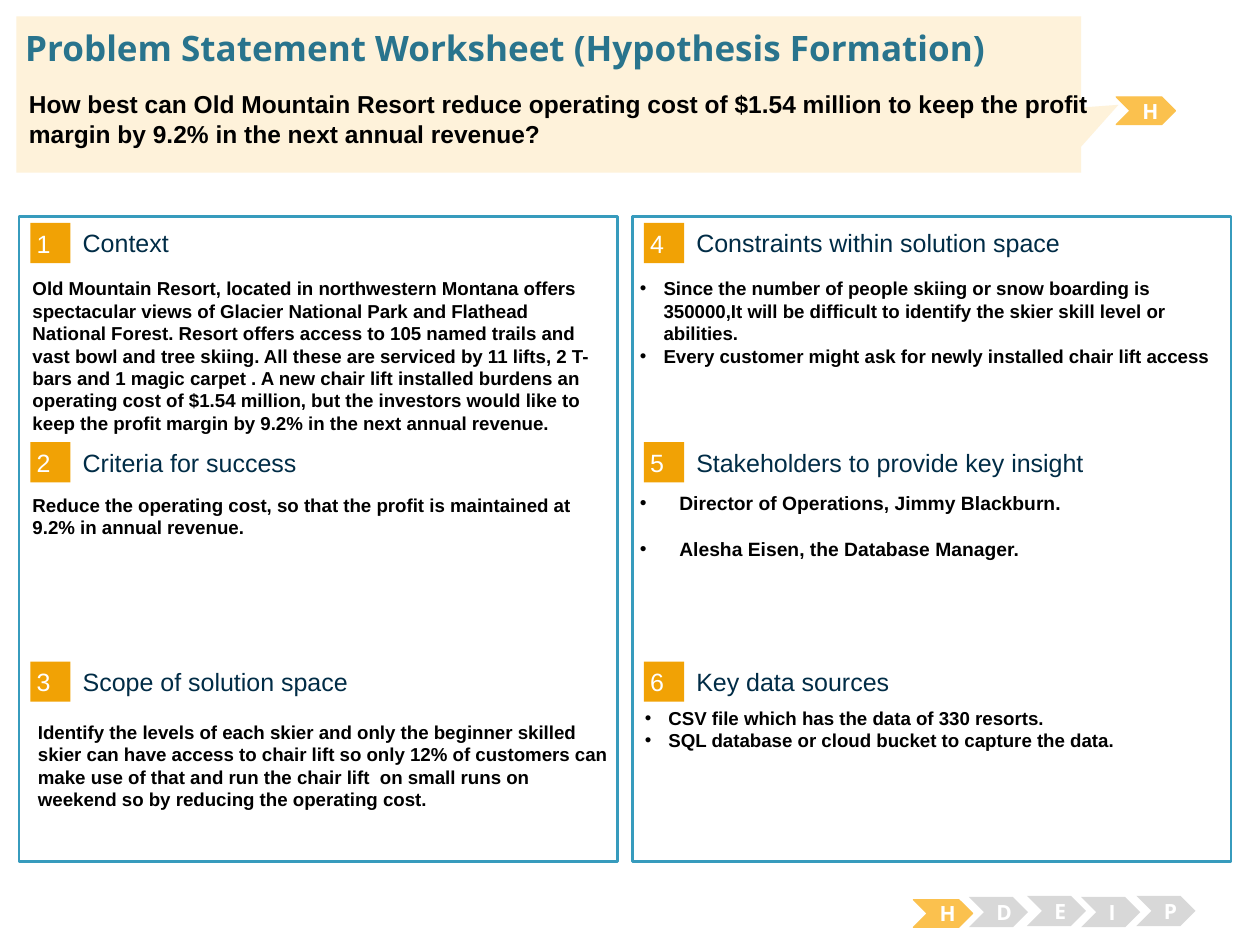
from dataclasses import dataclass

from lxml import etree
from pptx import Presentation
from pptx.dml.color import RGBColor
from pptx.enum.shapes import MSO_SHAPE
from pptx.enum.text import MSO_ANCHOR, PP_ALIGN
from pptx.oxml.ns import qn
from pptx.util import Pt

RECT = MSO_SHAPE.RECTANGLE
CHEVRON = MSO_SHAPE.CHEVRON
CALLOUT = MSO_SHAPE.RECTANGULAR_CALLOUT
TOP, MIDDLE = MSO_ANCHOR.TOP, MSO_ANCHOR.MIDDLE
LEFT, CENTER = PP_ALIGN.LEFT, PP_ALIGN.CENTER

WHITE = RGBColor(0xFF, 0xFF, 0xFF)
BLACK = RGBColor(0, 0, 0)
BLUE = RGBColor(0x37, 0x9B, 0xBD)
TEAL = RGBColor(0x29, 0x74, 0x8D)
NAVY = RGBColor(0x00, 0x2C, 0x46)
ORANGE = RGBColor(0xF1, 0xA2, 0x05)
AMBER = RGBColor(0xFB, 0xC1, 0x4E)
CREAM = RGBColor(0xFE, 0xF2, 0xDA)
GRAY = RGBColor(0xD8, 0xD8, 0xD8)


@dataclass
class Box:
    """Place and size in points."""
    x: float
    y: float
    w: float
    h: float

    def pts(self) -> list:
        """Return the four lengths for python-pptx."""
        return [Pt(v) for v in (self.x, self.y, self.w, self.h)]


@dataclass
class Style:
    """Look of a block of text."""
    size: float
    color: RGBColor
    bold: bool = True
    name: str = "Arial"
    align: PP_ALIGN = LEFT
    anchor: MSO_ANCHOR = TOP
    pad: tuple = (7.2, 3.6)
    indent: float = 0
    gap: float = 0


@dataclass
class Topic:
    """A numbered section with its body text."""
    head: str
    box: Box
    style: Style
    lines: list


@dataclass
class Step:
    """A chevron of the progress trail."""
    mark: str
    x: float
    y: float
    h: float = 17.3
    color: RGBColor = GRAY


BADGE = Style(14.3, WHITE, bold=False, anchor=MIDDLE, pad=(3.6, 3.6))
HEAD = Style(14.3, NAVY, bold=False, anchor=MIDDLE, pad=(0, 0))
BODY = Style(10.7, BLACK)
LIST = Style(10.7, BLACK, indent=13.5)
PEOPLE = Style(11, BLACK, indent=22.5, gap=13)
LEAD = Style(14, BLACK)
MARK = Style(12, WHITE, name="Open Sans", align=CENTER, anchor=MIDDLE)
TITLE = Style(20, TEAL, name="Open Sans", anchor=MIDDLE, pad=(0, 0))

COLUMNS = [10.8, 361.4]
PANEL_TOP, PANEL_W, PANEL_H = 123.8, 342, 368.6
ROW_TOP, ROW_STEP = 127.4, 125.3
BODY_W = 340.6

TOPICS = [
    Topic("Context", Box(11.5, 154.8, BODY_W, 98), BODY, [
        "Old Mountain Resort, located in northwestern Montana offers "
        "spectacular views of Glacier National Park and Flathead National "
        "Forest. Resort offers access to 105 named trails and vast bowl and "
        "tree skiing. All these are serviced by 11 lifts, 2 T-bars and 1 "
        "magic carpet . A new chair lift installed burdens an operating cost "
        "of $1.54 million, but the investors would like to keep the profit "
        "margin by 9.2% in the next annual revenue."]),
    Topic("Criteria for success", Box(11.5, 278.6, BODY_W, 110.9), BODY, [
        "Reduce the operating cost, so that the profit is maintained at 9.2% "
        "in annual revenue."]),
    Topic("Scope of solution space", Box(14.6, 408.2, BODY_W, 59), BODY, [
        "Identify the levels of each skier and only the beginner skilled "
        "skier can have access to chair lift so only 12% of customers can "
        "make use of that and run the chair lift  on small runs on weekend "
        "so by reducing the operating cost."]),
    Topic("Constraints within solution space",
          Box(358.6, 154.8, BODY_W, 85), LIST, [
              "Since the number of people skiing or snow boarding is "
              "350000,It will be difficult to identify the skier skill level "
              "or abilities.",
              "Every customer might ask for newly installed chair lift access"]),
    Topic("Stakeholders to provide key insight",
          Box(358.6, 277.2, BODY_W, 85), PEOPLE, [
              "Director of Operations, Jimmy Blackburn.",
              "Alesha Eisen, the Database Manager."]),
    Topic("Key data sources", Box(361.4, 400.3, BODY_W, 85), LIST, [
        "CSV file which has the data of 330 resorts.",
        "SQL database or cloud bucket to capture the data."]),
]

STEPS = [
    Step("H", 522, 514.1, 15.8, AMBER),
    Step("D", 553.7, 512.6),
    Step("E", 586.8, 511.9),
    Step("I", 617.8, 512.6),
    Step("P", 649.4, 511.9),
    Step("H", 637.9, 55.4, 15.8, AMBER),
]


def bullet(para, indent: float) -> None:
    """Give a paragraph a round bullet and a hanging indent."""
    props = para._p.get_or_add_pPr()
    props.set("marL", str(Pt(indent)))
    props.set("indent", str(-Pt(indent)))
    etree.SubElement(props, qn("a:buFont")).set("typeface", "Arial")
    etree.SubElement(props, qn("a:buChar")).set("char", "•")


def write(shape, lines: list, style: Style) -> None:
    """Fill a shape with styled paragraphs."""
    frame = shape.text_frame
    across, down = (Pt(v) for v in style.pad)
    look = {"word_wrap": True, "vertical_anchor": style.anchor,
            "margin_left": across, "margin_right": across,
            "margin_top": down, "margin_bottom": down}
    for key, value in look.items():
        setattr(frame, key, value)
    frame.text = "\n".join(lines)
    face = {"size": Pt(style.size), "bold": style.bold, "name": style.name}
    for place, para in enumerate(frame.paragraphs):
        para.alignment = style.align
        if place and style.gap:
            para.space_before = Pt(style.gap)
        if style.indent:
            bullet(para, style.indent)
        font = para.runs[0].font
        for key, value in face.items():
            setattr(font, key, value)
        font.color.rgb = style.color


def block(slide, kind, box: Box, fill: RGBColor, edge=None, width: float = 0.75):
    """Draw a flat preset shape, with an outline if a colour is given."""
    shape = slide.shapes.add_shape(kind, *box.pts())
    shape.shadow.inherit = False
    shape.fill.solid()
    shape.fill.fore_color.rgb = fill
    if edge is None:
        shape.line.fill.background()
    else:
        shape.line.color.rgb = edge
        shape.line.width = Pt(width)
    return shape


def note(slide, box: Box, lines: list, style: Style) -> None:
    """Add a text box."""
    write(slide.shapes.add_textbox(*box.pts()), lines, style)


def section(slide, index: int, topic: Topic) -> None:
    """Draw the badge, heading and body of a topic."""
    column, row = divmod(index, 3)
    x, y = COLUMNS[column] + 6.5, ROW_TOP + row * ROW_STEP
    badge = block(slide, RECT, Box(x, y, 23, 23), ORANGE)
    write(badge, [str(index + 1)], BADGE)
    note(slide, Box(x + 30, y + 2.3, 283, 18), [topic.head], HEAD)
    note(slide, topic.box, topic.lines, topic.style)


def trail(slide, step: Step) -> None:
    """Draw a chevron with its letter."""
    edge = AMBER if step.color == AMBER else None
    shape = block(slide, CHEVRON, Box(step.x, step.y, 33.8, step.h),
                  step.color, edge)
    write(shape, [step.mark], MARK)


def banner(slide) -> None:
    """Draw the callout with the title and the lead question."""
    shape = block(slide, CALLOUT, Box(9.4, 9.4, 608.4, 89.3), CREAM)
    shape.adjustments[0], shape.adjustments[1] = 0.535, 0.066
    title = slide.shapes.title
    place = zip(("left", "top", "width", "height"),
                Box(14.4, 15.1, 692.6, 24.5).pts())
    for key, value in place:
        setattr(title, key, value)
    write(title, ["Problem Statement Worksheet (Hypothesis Formation)"], TITLE)
    title.element.getparent().append(title.element)
    note(slide, Box(9.4, 47.5, 676, 38.9), [
        "How best can Old Mountain Resort reduce operating cost of $1.54 "
        "million to keep the profit",
        "margin by 9.2% in the next annual revenue?"], LEAD)


def main() -> None:
    """Build and save the deck."""
    deck = Presentation()
    deck.slide_width, deck.slide_height = Pt(720), Pt(540)
    slide = deck.slides.add_slide(deck.slide_layouts[5])
    for x in COLUMNS:
        block(slide, RECT, Box(x, PANEL_TOP, PANEL_W, PANEL_H), WHITE, BLUE, 1.5)
    for index, topic in enumerate(TOPICS):
        section(slide, index, topic)
    for step in STEPS:
        trail(slide, step)
    banner(slide)
    deck.save("out.pptx")


main()
